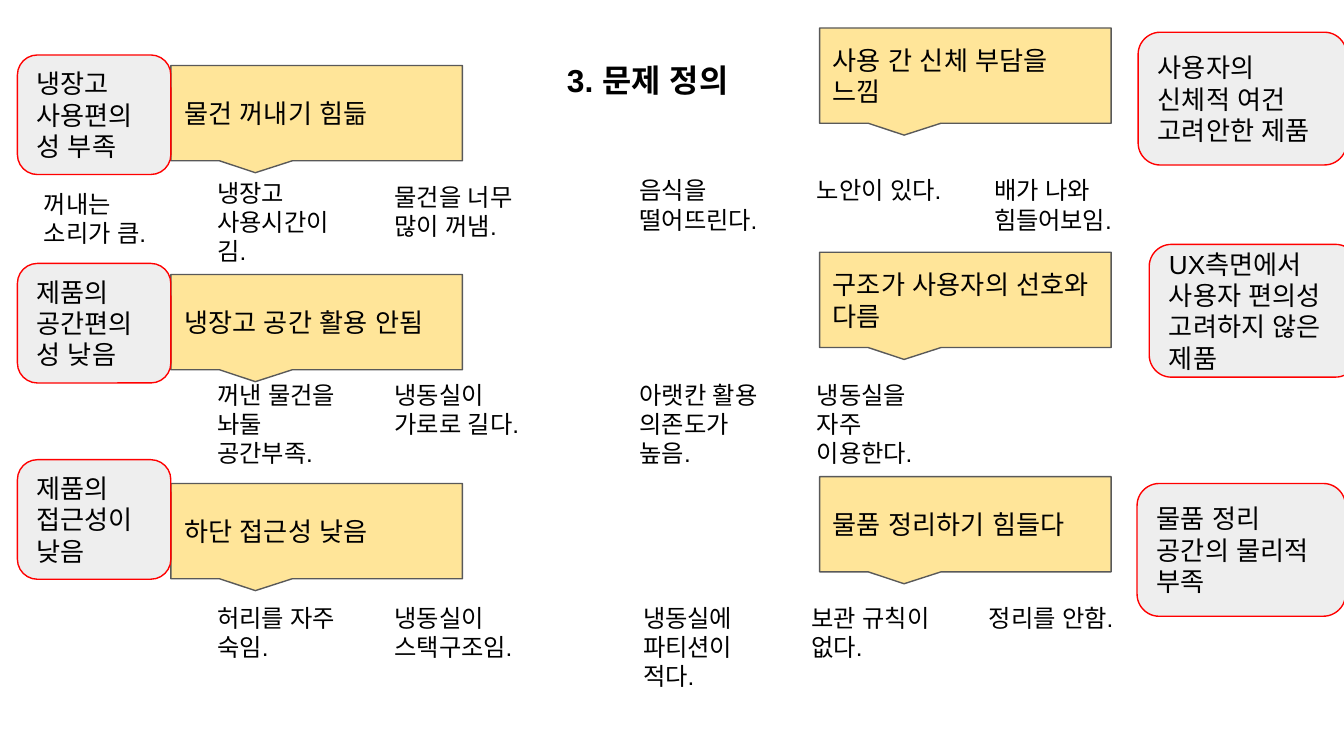
"""Build the problem definition slide about refrigerator use."""
from dataclasses import dataclass

from lxml import etree
from pptx import Presentation
from pptx.dml.color import RGBColor
from pptx.enum.shapes import MSO_SHAPE
from pptx.enum.text import MSO_ANCHOR, MSO_AUTO_SIZE, PP_ALIGN
from pptx.oxml.ns import qn
from pptx.util import Cm, Pt

CALLOUT = MSO_SHAPE.ROUNDED_RECTANGULAR_CALLOUT
ROUNDED = MSO_SHAPE.ROUNDED_RECTANGLE
TOP, MIDDLE = MSO_ANCHOR.TOP, MSO_ANCHOR.MIDDLE
LEFT, CENTER = PP_ALIGN.LEFT, PP_ALIGN.CENTER
FIT_SHAPE, NO_FIT = MSO_AUTO_SIZE.SHAPE_TO_FIT_TEXT, MSO_AUTO_SIZE.NONE


@dataclass(frozen=True)
class Theme:
    """Colours, type sizes and font of the slide."""
    font: str = "Arial"
    ink: str = "000000"
    problem_fill: str = "FFE599"
    problem_line: str = "595959"
    cause_fill: str = "EEEEEE"
    cause_line: str = "FF0000"
    title_size: int = 17
    label_size: int = 14
    note_size: int = 13


THEME = Theme()
TITLE = "3. 문제 정의"
TITLE_BOX = (5.28, 0.89, 13.92, 1.24)

PROBLEM_SIZE = (5.51, 1.8)
PROBLEM_COLUMNS = [
    (3.23, 1.24, 3.95, ["물건 꺼내기 힘듦", "냉장고 공간 활용 안됨", "하단 접근성 낮음"]),
    (15.49, 0.53, 4.24, ["사용 간 신체 부담을 느낌", "구조가 사용자의 선호와 다름", "물품 정리하기 힘들다"]),
]

CAUSE_COLUMNS = [
    ((2.9, 2.26), [
        (0.33, 1.04, "냉장고 사용편의성 부족"),
        (0.33, 4.98, "제품의 공간편의성 낮음"),
        (0.33, 8.69, "제품의 접근성이 낮음"),
    ]),
    ((3.94, 2.51), [
        (21.51, 0.61, "사용자의 신체적 여건 고려안한 제품"),
        (21.72, 4.62, "UX측면에서 사용자 편의성 고려하지 않은 제품"),
        (21.49, 9.14, "물품 정리 공간의 물리적 부족"),
    ]),
]

NOTE_SIZE = (3, 1.63)
NOTES = [
    (0.58, 3.33, "꺼내는 소리가 큼."),
    (3.86, 3.12, "냉장고 사용시간이 김."),
    (7.21, 3.2, "물건을 너무 많이 꺼냄."),
    (11.84, 3.07, "음식을 떨어뜨린다."),
    (15.19, 3.07, "노안이 있다."),
    (18.54, 3.07, "배가 나와\n힘들어보임."),
    (3.86, 6.93, "꺼낸 물건을 놔둘 공간부족."),
    (7.21, 6.93, "냉동실이\n가로로 길다."),
    (11.84, 6.93, "아랫칸 활용 의존도가 높음."),
    (15.19, 6.93, "냉동실을\n자주 이용한다."),
    (3.86, 11.15, "허리를 자주 숙임."),
    (7.21, 11.15, "냉동실이 스택구조임."),
    (11.91, 11.15, "냉동실에 파티션이 적다."),
    (15.09, 11.15, "보관 규칙이 없다."),
    (18.44, 11.15, "정리를 안함."),
]


def write_text(shape, text, *, size, bold=False, align=LEFT, anchor=TOP, fit=NO_FIT):
    """Fill a shape with formatted paragraphs, one for each line of text."""
    frame = shape.text_frame
    frame.text = text
    frame.word_wrap = True
    frame.auto_size = fit
    frame.vertical_anchor = anchor
    frame.margin_left = frame.margin_right = Cm(0.25)
    frame.margin_top = frame.margin_bottom = Cm(0.25)
    for paragraph in frame.paragraphs:
        paragraph.alignment = align
        for run in paragraph.runs:
            run.font.name = THEME.font
            run.font.size = Pt(size)
            run.font.bold = bold
            run.font.color.rgb = RGBColor.from_string(THEME.ink)
            properties = run.font._element
            etree.SubElement(properties, qn("a:ea"), typeface=THEME.font)


def add_title(slide):
    """Place and format the title placeholder."""
    title = slide.shapes.title
    title.left, title.top, title.width, title.height = map(Cm, TITLE_BOX)
    write_text(title, TITLE, size=THEME.title_size, bold=True, align=CENTER)


def add_note(slide, left, top, text):
    """Add one observation as plain text."""
    box = slide.shapes.add_textbox(*map(Cm, (left, top, *NOTE_SIZE)))
    write_text(box, text, size=THEME.note_size, fit=FIT_SHAPE)


def add_label(slide, kind, box, text, *, fill, line, adjustments):
    """Add a filled and outlined shape with a label."""
    shape = slide.shapes.add_shape(kind, *map(Cm, box))
    shape.shadow.inherit = False
    for index, value in enumerate(adjustments):
        shape.adjustments[index] = value
    shape.fill.solid()
    shape.fill.fore_color.rgb = RGBColor.from_string(fill)
    shape.line.color.rgb = RGBColor.from_string(line)
    shape.line.width = Pt(0.75)
    write_text(shape, text, size=THEME.label_size, anchor=MIDDLE)


def add_problem(slide, left, top, text):
    """Add a problem callout pointing down to its observations."""
    add_label(slide, CALLOUT, (left, top, *PROBLEM_SIZE), text,
              fill=THEME.problem_fill, line=THEME.problem_line,
              adjustments=(-0.21, 0.625, 0))


def add_cause(slide, left, top, size, text):
    """Add a rounded box that names the cause of a problem."""
    add_label(slide, ROUNDED, (left, top, *size), text,
              fill=THEME.cause_fill, line=THEME.cause_line, adjustments=(0.167,))


def main():
    """Build and save the presentation."""
    presentation = Presentation()
    presentation.slide_width, presentation.slide_height = Cm(25.4), Cm(14.29)
    slide = presentation.slides.add_slide(presentation.slide_layouts[5])
    add_title(slide)
    for left, top, text in NOTES:
        add_note(slide, left, top, text)
    for left, first_top, step, problems in PROBLEM_COLUMNS:
        for row, text in enumerate(problems):
            add_problem(slide, left, first_top + row * step, text)
    for size, causes in CAUSE_COLUMNS:
        for left, top, text in causes:
            add_cause(slide, left, top, size, text)
    presentation.save("out.pptx")


if __name__ == "__main__":
    main()
